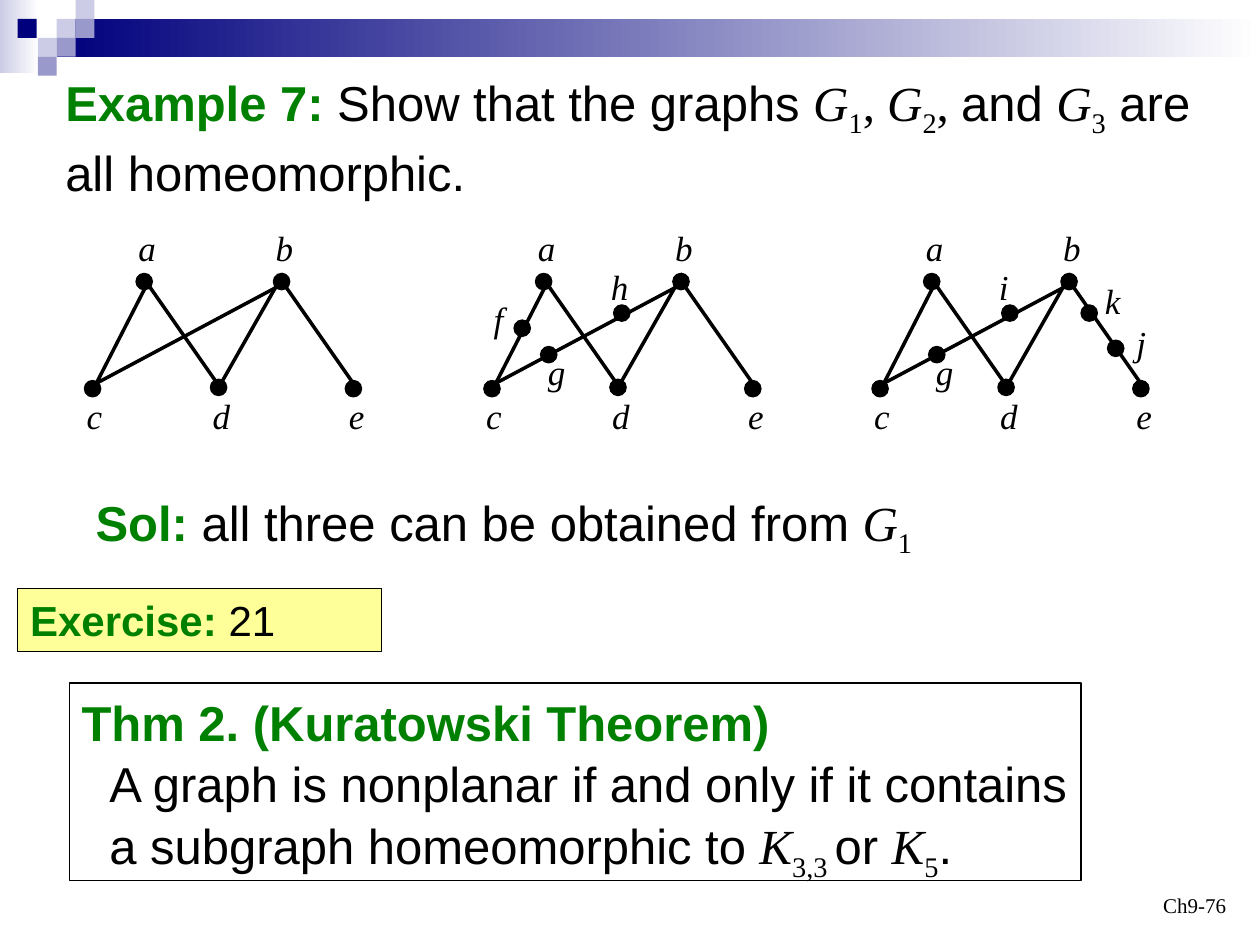
from pptx import Presentation
from pptx.dml.color import RGBColor
from pptx.enum.shapes import MSO_CONNECTOR, MSO_SHAPE
from pptx.enum.text import MSO_ANCHOR, PP_ALIGN
from pptx.oxml.ns import qn
from pptx.util import Inches, Pt
from lxml.etree import SubElement

SANS, SERIF = "Arial", "Times New Roman"
GREEN, BLACK, WHITE = "008000", "000000", "FFFFFF"
NAVY, LILAC, VIOLET = "00007D", "CCCCE6", "9999CC"

STYLES = {
    "head": dict(font=SANS, color=GREEN, bold=True),
    "body": dict(font=SANS),
    "serif": dict(font=SERIF),
    "var": dict(font=SERIF, italic=True),
    "sub": dict(font=SERIF, baseline=-25),
}

FADES = [(0, 0, 0.31, 0.58, LILAC), (0.45, 0.15, 9.55, 0.3, NAVY)]
SQUARES = [
    (0.45, 0.15, LILAC), (0.6, 0, LILAC), (0.6, 0.15, VIOLET), (0.3, 0.3, LILAC),
    (0.14, 0.15, NAVY), (0.45, 0.3, VIOLET), (0.3, 0.45, VIOLET),
]

EXAMPLE = [
    ("Example 7:", "head"), (" Show that the graphs ", "body"),
    ("G", "var"), ("1", "sub"), (", ", "serif"), ("G", "var"), ("2", "sub"),
    (", ", "serif"), ("and ", "body"), ("G", "var"), ("3", "sub"),
    (" are all homeomorphic.", "body"),
]
SOLUTION = [
    ("Sol: ", "head"), ("all three can be obtained from ", "body"),
    ("G", "var"), ("1", "sub"),
]
EXERCISE = [("Exercise: ", "head"), ("21", "body")]
THEOREM = [
    [("Thm 2. (Kuratowski Theorem)", "head")],
    [("A graph is nonplanar if and only if it contains", "body")],
    [("a subgraph homeomorphic to ", "body"), ("K", "var"), ("3,3 ", "sub"),
     ("or ", "body"), ("K", "var"), ("5", "sub"), (".", "body")],
]

EDGES = [
    (2.25, 2.17, 1.75, 3.05), (1.17, 2.25, 0.73, 3.11), (1.17, 2.25, 1.75, 3.08),
    (2.83, 3.08, 2.25, 2.25), (0.75, 3.05, 2.25, 2.25),
]
BASE = {
    "a": ((1.08, 2.17), (1, 1.75)), "b": ((2.17, 2.17), (2.09, 1.75)),
    "c": ((0.67, 3.02), (0.59, 3.08)), "d": ((1.67, 3.01), (1.59, 3.08)),
    "e": ((2.74, 3.02), (2.67, 3.08)),
}
ADDED = {
    "f": ((0.91, 2.54), (0.65, 2.31)), "g": ((1.12, 2.75), (1.08, 2.73)),
    "h": ((1.7, 2.42), (1.58, 2.06)), "i": ((1.7, 2.42), (1.58, 2.06)),
    "k": ((2.33, 2.42), (2.42, 2.17)), "j": ((2.54, 2.7), (2.67, 2.5)),
}
GRAPHS = [(0, ""), (3.17, "fgh"), (6.25, "gikj")]
DOT = 0.13


def rgb(color):
    """Turn a hex string into a colour."""
    return RGBColor.from_string(color)


def add_shape(s, kind, x, y, w, h, fill=None, line=None):
    """Add a preset shape with a plain fill and outline."""
    sp = s.shapes.add_shape(kind, Inches(x), Inches(y), Inches(w), Inches(h))
    sp.shadow.inherit = False
    if fill:
        sp.fill.solid()
        sp.fill.fore_color.rgb = rgb(fill)
    else:
        sp.fill.background()
    if line:
        sp.line.color.rgb = rgb(line)
        sp.line.width = Pt(0.75)
    else:
        sp.line.fill.background()
    return sp


def add_text(s, x, y, w, h):
    """Add an empty text box."""
    return s.shapes.add_textbox(Inches(x), Inches(y), Inches(w), Inches(h))


def write(sp, lines, size, align=PP_ALIGN.LEFT, anchor=MSO_ANCHOR.TOP, spacing=None, indent=0):
    """Write lines of styled runs, indenting every line after the first."""
    tf = sp.text_frame
    tf.word_wrap = True
    tf.vertical_anchor = anchor
    tf.margin_right = 0 if align == PP_ALIGN.LEFT else Inches(0.1)
    for n, runs in enumerate(lines):
        p = tf.add_paragraph() if n else tf.paragraphs[0]
        p.alignment = align
        if spacing:
            p.line_spacing = spacing
        if n and indent:
            p._p.get_or_add_pPr().set("marL", str(Inches(indent)))
        for text, name in runs:
            style = STYLES[name]
            r = p.add_run()
            r.text = text
            r.font.size = Pt(size)
            r.font.name = style["font"]
            r.font.color.rgb = rgb(style.get("color", BLACK))
            r.font.bold = style.get("bold", False)
            r.font.italic = style.get("italic", False)
            if "baseline" in style:
                r._r.get_or_add_rPr().set("baseline", str(style["baseline"] * 1000))


def add_edge(s, x1, y1, x2, y2):
    """Draw one graph edge."""
    c = s.shapes.add_connector(
        MSO_CONNECTOR.STRAIGHT, Inches(x1), Inches(y1), Inches(x2), Inches(y2))
    c.line.color.rgb = rgb(BLACK)
    c.line.width = Pt(2)
    SubElement(c._element.spPr, qn("a:effectLst"))


def add_graph(s, dx, extra):
    """Draw the base graph shifted right, with its added vertices."""
    for x1, y1, x2, y2 in EDGES:
        add_edge(s, x1 + dx, y1, x2 + dx, y2)
    vertices = BASE | {name: ADDED[name] for name in extra}
    for name, ((x, y), (tx, ty)) in vertices.items():
        add_shape(s, MSO_SHAPE.FLOWCHART_CONNECTOR, x + dx, y, DOT, DOT, BLACK, BLACK)
        write(add_text(s, tx + dx, ty, 0.34, 0.44), [[(name, "var")]], 20)


def main():
    """Build the slide and save it."""
    prs = Presentation()
    prs.slide_width, prs.slide_height = Inches(10), Inches(7.5)
    s = prs.slides.add_slide(prs.slide_layouts[6])

    for x, y, w, h, color in FADES:
        sp = add_shape(s, MSO_SHAPE.RECTANGLE, x, y, w, h)
        sp.fill.gradient()
        sp.fill.gradient_angle = 0
        for stop, c in zip(sp.fill.gradient_stops, (color, WHITE)):
            stop.color.rgb = rgb(c)
    for x, y, color in SQUARES:
        add_shape(s, MSO_SHAPE.RECTANGLE, x, y, 0.15, 0.15, color)

    write(add_text(s, 7.5, 6.83, 2.33, 0.5), [[("Ch9-76", "serif")]], 12,
          PP_ALIGN.RIGHT, MSO_ANCHOR.BOTTOM)
    write(add_text(s, 0.42, 0.5, 9.17, 1.1), [EXAMPLE], 28, spacing=1.05)
    for dx, extra in GRAPHS:
        add_graph(s, dx, extra)
    write(add_text(s, 0.66, 3.83, 6.68, 0.63), [SOLUTION], 28, spacing=1.05)

    sp = add_shape(s, MSO_SHAPE.RECTANGLE, 0.55, 5.42, 8.03, 1.57, line=BLACK)
    write(sp, THEOREM, 28, spacing=1.05, indent=0.22)
    sp = add_shape(s, MSO_SHAPE.RECTANGLE, 0.14, 4.67, 2.89, 0.5, "FFFF99", BLACK)
    write(sp, [EXERCISE], 24, anchor=MSO_ANCHOR.MIDDLE)
    prs.save("out.pptx")


if __name__ == "__main__":
    main()
